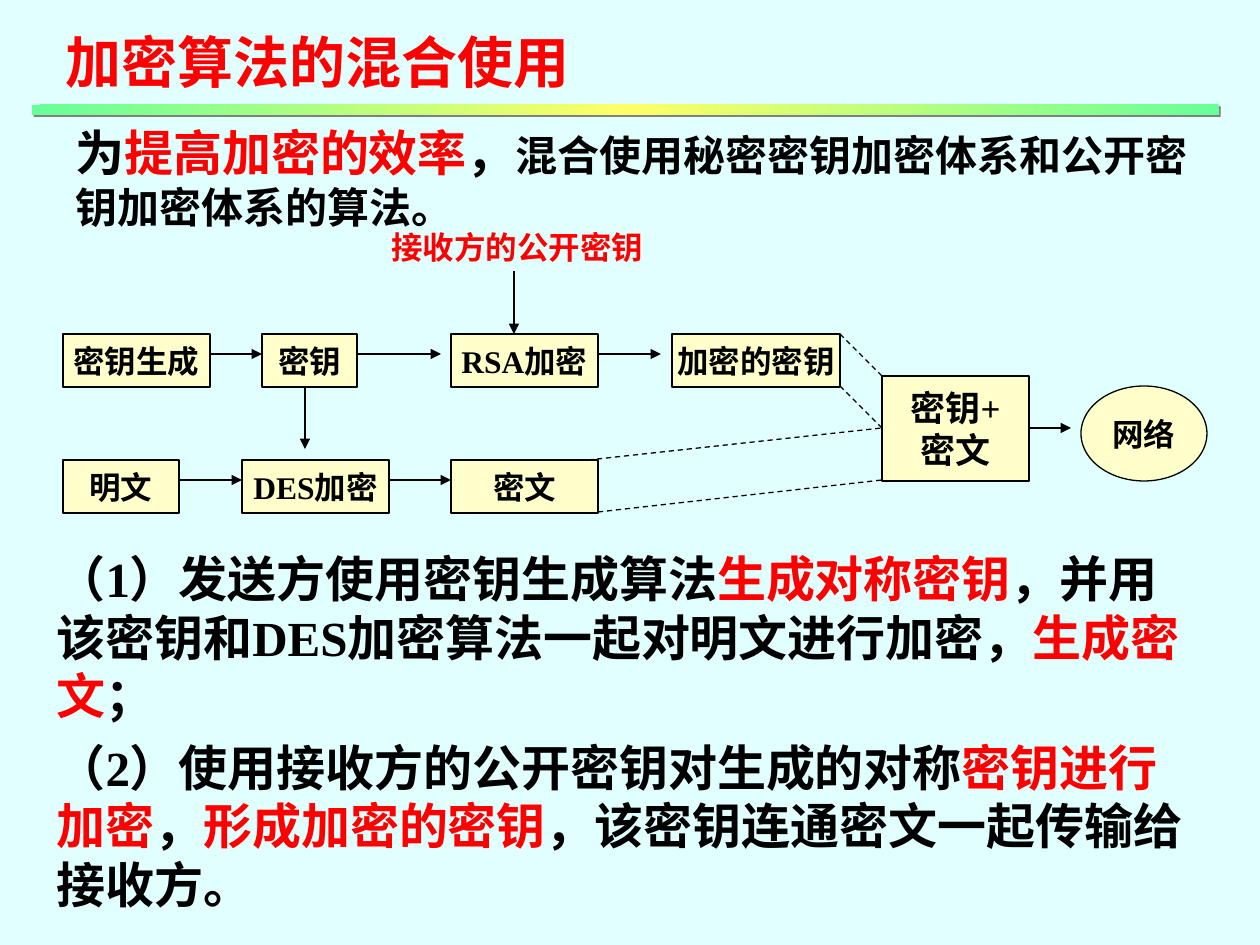
import pptx
import pptx.util
import pptx.dml.color
import pptx.enum.dml
import pptx.enum.shapes
import pptx.enum.text
import pptx.oxml
import pptx.oxml.ns
from lxml import etree

THEME = dict(
    font="Times New Roman", bg="E1FFFF", ink="000000", accent="FF0000", box="FFFFCC",
    bar=[(0, "66FF99"), (50, "FFFF66"), (100, "66FF99")], shade="808080",
    title=32, lead=28, sub=24, sum=20, label=18, line=0.75, gap=7,
)

TITLE = [[("加密算法的混合使用", "accent", "title")]]
INTRO = [[
    ("为", "ink", "lead"), ("提高加密的效率", "accent", "lead"), ("，", "ink", "lead"),
    ("混合使用秘密密钥加密体系和公开密钥加密体系的算法。", "ink", "sub"),
]]
KEY_LABEL = [[("接收方的公开密钥", "accent", "label")]]
STEPS = [
    [("（1）发送方使用密钥生成算法", "ink", "lead"), ("生成对称密钥", "accent", "lead"),
     ("，并用该密钥和DES加密算法一起对明文进行加密，", "ink", "lead"),
     ("生成密文", "accent", "lead"), ("；", "ink", "lead")],
    [("（2）使用接收方的公开密钥对生成的对称", "ink", "lead"), ("密钥进行加密", "accent", "lead"),
     ("，", "ink", "lead"), ("形成加密的密钥", "accent", "lead"),
     ("，该密钥连通密文一起传输给接收方。", "ink", "lead")],
]

BOX_H = 53
ROWS = [
    (334, [("密钥生成", 63, 147), ("密钥", 262, 95), ("RSA加密", 451, 147), ("加密的密钥", 672, 168)]),
    (460, [("明文", 63, 116), ("DES加密", 242, 147), ("密文", 451, 147)]),
]
PACKET = (882, 376, 147, 105)
NETWORK = (1081, 386, 126, 95)
ARROWS = [
    (210, 354, 262, 354), (357, 354, 441, 354), (598, 354, 661, 354), (514, 271, 514, 334),
    (179, 480, 242, 480), (389, 480, 451, 480), (305, 386, 305, 449), (1029, 428, 1071, 428),
]
DASHES = [
    (598, 512, 882, 480), (588, 460, 882, 428), (840, 386, 882, 428), (840, 334, 882, 376),
]


def px(n):
    return pptx.util.Emu(round(n * 914400 / 126))


def rgb(c):
    return pptx.dml.color.RGBColor.from_string(c)


def place(sp, x, y, w, h):
    sp.left, sp.top, sp.width, sp.height = px(x), px(y), px(w), px(h)


def write(sp, paragraphs, align="LEFT", anchor="TOP", wrap=True):
    tf = sp.text_frame
    tf.auto_size = pptx.enum.text.MSO_AUTO_SIZE.NONE
    tf.word_wrap = wrap
    tf.vertical_anchor = pptx.enum.text.MSO_ANCHOR[anchor]
    for i, runs in enumerate(paragraphs):
        p = tf.add_paragraph() if i else tf.paragraphs[0]
        p.alignment = pptx.enum.text.PP_ALIGN[align]
        p.space_before = pptx.util.Pt(THEME["gap"] if i else 0)
        for text, color, size in runs:
            r = p.add_run()
            r.text = text
            r.font.name, r.font.bold = THEME["font"], True
            r.font.size = pptx.util.Pt(THEME[size])
            r.font.color.rgb = rgb(THEME[color])


def add_text(s, box, paragraphs, wrap=True):
    sp = s.shapes.add_textbox(*map(px, box))
    write(sp, paragraphs, wrap=wrap)


def add_node(s, kind, box, lines, size="label"):
    sp = s.shapes.add_shape(pptx.enum.shapes.MSO_SHAPE[kind], *map(px, box))
    sp.shadow.inherit = False
    sp.fill.solid()
    sp.fill.fore_color.rgb = rgb(THEME["box"])
    sp.line.color.rgb = rgb(THEME["ink"])
    sp.line.width = pptx.util.Pt(THEME["line"])
    write(sp, [[(t, "ink", size)] for t in lines], "CENTER", "MIDDLE", False)
    for p in sp.text_frame.paragraphs:
        p.space_before = pptx.util.Pt(0)


def add_line(s, ends, dashed=False):
    c = s.shapes.add_connector(pptx.enum.shapes.MSO_CONNECTOR.STRAIGHT, *map(px, ends))
    c.line.color.rgb = rgb(THEME["ink"])
    c.line.width = pptx.util.Pt(THEME["line"])
    if dashed:
        c.line.dash_style = pptx.enum.dml.MSO_LINE.DASH
    else:
        etree.SubElement(c.line._get_or_add_ln(), pptx.oxml.ns.qn("a:tailEnd"), type="triangle")
    etree.SubElement(c._element.spPr, pptx.oxml.ns.qn("a:effectLst"))


def add_bar(s, box):
    sp = s.shapes.add_shape(pptx.enum.shapes.MSO_SHAPE.RECTANGLE, *map(px, box))
    sp.line.fill.background()
    ns = pptx.oxml.ns.nsdecls("a")
    stops = "".join(f'<a:gs pos="{pos * 1000}"><a:srgbClr val="{c}"/></a:gs>' for pos, c in THEME["bar"])
    sp._element.spPr.find(pptx.oxml.ns.qn("a:ln")).addprevious(pptx.oxml.parse_xml(
        f'<a:gradFill {ns}><a:gsLst>{stops}</a:gsLst><a:lin ang="2700000" scaled="0"/></a:gradFill>'))
    sp._element.spPr.append(pptx.oxml.parse_xml(
        f'<a:effectLst {ns}><a:outerShdw dist="17780" dir="2700000" algn="ctr" rotWithShape="0">'
        f'<a:srgbClr val="{THEME["shade"]}"/></a:outerShdw></a:effectLst>'))


def main():
    prs = pptx.Presentation()
    prs.slide_width, prs.slide_height = px(1260), px(945)
    s = prs.slides.add_slide(prs.slide_layouts[1])
    s.background.fill.solid()
    s.background.fill.fore_color.rgb = rgb(THEME["bg"])

    title, body = s.placeholders
    place(title, 53, 21, 545, 81)
    write(title, TITLE)
    place(body, 44, 542, 1157, 378)
    write(body, STEPS)
    for p in body.text_frame.paragraphs:
        pPr = p._p.get_or_add_pPr()
        pPr.set("marL", "0")
        pPr.set("indent", "0")
        etree.SubElement(pPr, pptx.oxml.ns.qn("a:buNone"))

    add_text(s, (63, 116, 1163, 122), INTRO)
    for y, boxes in ROWS:
        for text, x, w in boxes:
            add_node(s, "RECTANGLE", (x, y, w, BOX_H), [text])
    add_node(s, "RECTANGLE", PACKET, ["密钥+", "密文"], "sum")
    add_text(s, (379, 222, 277, 50), KEY_LABEL, wrap=False)
    for ends in ARROWS:
        add_line(s, ends)
    for ends in DASHES:
        add_line(s, ends, dashed=True)
    add_node(s, "OVAL", NETWORK, ["网络"])
    add_bar(s, (32, 105, 1187, 10))
    prs.save("out.pptx")


if __name__ == "__main__":
    main()
